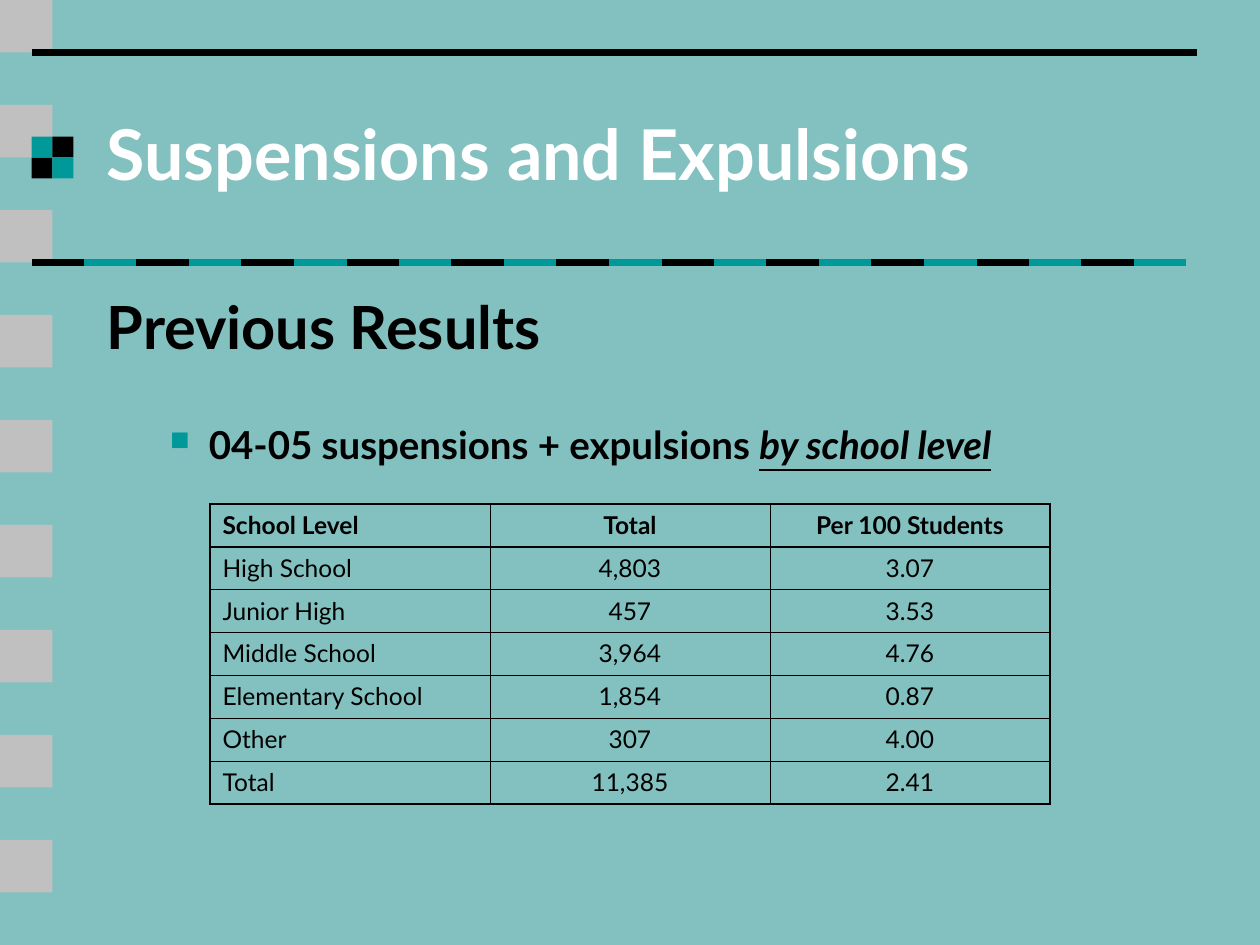
from lxml.etree import SubElement as Sub
from pptx import Presentation
from pptx.dml.color import RGBColor as RGB
from pptx.enum.shapes import MSO_CONNECTOR as Link, MSO_SHAPE as Shape
from pptx.enum.text import MSO_ANCHOR as Anchor, PP_ALIGN as Align
from pptx.oxml import parse_xml
from pptx.oxml.ns import nsdecls, qn
from pptx.util import Inches, Pt

TITLE = "Suspensions and Expulsions"
HEAD = "Previous Results"
POINT = "04-05 suspensions + expulsions "
STRESS = "by school level"
ROWS = [
    ("School Level", "Total", "Per 100 Students"),
    ("High School", "4,803", "3.07"),
    ("Junior High", "457", "3.53"),
    ("Middle School", "3,964", "4.76"),
    ("Elementary School", "1,854", "0.87"),
    ("Other", "307", "4.00"),
    ("Total", "11,385", "2.41"),
]
HUES = {"back": "83C1C0", "grey": "C0C0C0", "teal": "009999",
        "black": "000000", "white": "FFFFFF"}
FONT = "Lato"
WIDE, HIGH = 10, 7.5
UNIT = WIDE / 24
EDGE = 0.6
CHECK = 0.4
PAIR = ("black", "teal")
THICK, THIN = 1.08, 0.45


def hue(name):
    return RGB.from_string(HUES[name])


def grid(*parts):
    return [Inches(part * UNIT) for part in parts]


def write(para, text, size=14, color="black", bold=False, italic=False,
          under=False, align=Align.LEFT):
    para.alignment = align
    run = para.add_run()
    run.text = text
    font = run.font
    font.name, font.size, font.bold = FONT, Pt(size), bold
    font.italic, font.underline = italic, under
    font.color.rgb = hue(color)


def square(slide, col, row, size, color):
    box = slide.shapes.add_shape(Shape.RECTANGLE, *grid(col, row, size, size))
    box.shadow.inherit = False
    box.fill.solid()
    box.fill.fore_color.rgb = hue(color)
    box.line.fill.background()


def rule(slide, start, end, row, color):
    line = slide.shapes.add_connector(Link.STRAIGHT, *grid(start, row, end, row))
    line.line.width = Pt(4.5)
    line.line.color.rgb = hue(color)
    Sub(line._element.spPr, qn("a:effectLst"))


def frame(slide, top, tall):
    box = slide.shapes.add_textbox(*grid(1.8, top, 20.4, tall))
    box.text_frame.word_wrap = True
    return box.text_frame


def bullet(para, left, hang, color, share):
    props = para._p.get_or_add_pPr()
    props.set("marL", str(Inches(left)))
    props.set("indent", str(-Inches(hang)))
    Sub(Sub(props, qn("a:buClr")), qn("a:srgbClr")).set("val", HUES[color])
    Sub(props, qn("a:buSzPct")).set("val", str(share * 1000))
    Sub(props, qn("a:buChar")).set("char", "■")


def border(cell, sides):
    props = cell._tc.get_or_add_tcPr()
    for spot, (side, width) in enumerate(sides.items()):
        props.insert(spot, parse_xml(
            f'<a:ln{side} {nsdecls("a")} w="{Pt(width)}"><a:solidFill>'
            f'<a:srgbClr val="{HUES["black"]}"/></a:solidFill></a:ln{side}>'))


def decor(slide):
    for row in range(0, 17, 2):
        square(slide, 0, row, 1, "grey")
    rule(slide, EDGE, 22.8, 1, "black")
    for row in range(2):
        for col in range(2):
            square(slide, EDGE + col * CHECK, 2.6 + row * CHECK, CHECK,
                   PAIR[(row + col + 1) % 2])
    for dash in range(22):
        rule(slide, EDGE + dash, EDGE + dash + 1, 5, PAIR[dash % 2])


def words(slide):
    title = frame(slide, 1.4, 3)
    title.vertical_anchor = Anchor.MIDDLE
    write(title.paragraphs[0], TITLE, size=40, color="white", bold=True)
    body = frame(slide, 5.4, 10.8)
    write(body.paragraphs[0], HEAD, size=34, bold=True)
    point = body.add_paragraph()
    point.level = 1
    point.space_before = Pt(34.5)
    bullet(point, 0.81, 0.31, "teal", 70)
    write(point, POINT, size=22, bold=True)
    write(point, STRESS, size=22, bold=True, italic=True, under=True)


def chart(slide):
    last, end = len(ROWS) - 1, len(ROWS[0]) - 1
    tall = 0.34 / UNIT
    table = slide.shapes.add_table(last + 1, end + 1, *grid(
        4, 9.6, 16, tall * len(ROWS))).table
    table.first_row = table.horz_banding = False
    for r, row in enumerate(ROWS):
        for c, text in enumerate(row):
            cell = table.cell(r, c)
            cell.fill.background()
            border(cell, {"L": THICK if c == 0 else THIN,
                          "R": THICK if c == end else THIN,
                          "T": THICK if r < 2 else THIN,
                          "B": THICK if r in (0, last) else THIN})
            write(cell.text_frame.paragraphs[0], text, bold=r == 0,
                  align=Align.CENTER if c else Align.LEFT)


def main():
    deck = Presentation()
    deck.slide_width, deck.slide_height = Inches(WIDE), Inches(HIGH)
    slide = deck.slides.add_slide(deck.slide_layouts[6])
    slide.background.fill.solid()
    slide.background.fill.fore_color.rgb = hue("back")
    decor(slide)
    words(slide)
    chart(slide)
    deck.save("out.pptx")


if __name__ == "__main__":
    main()
